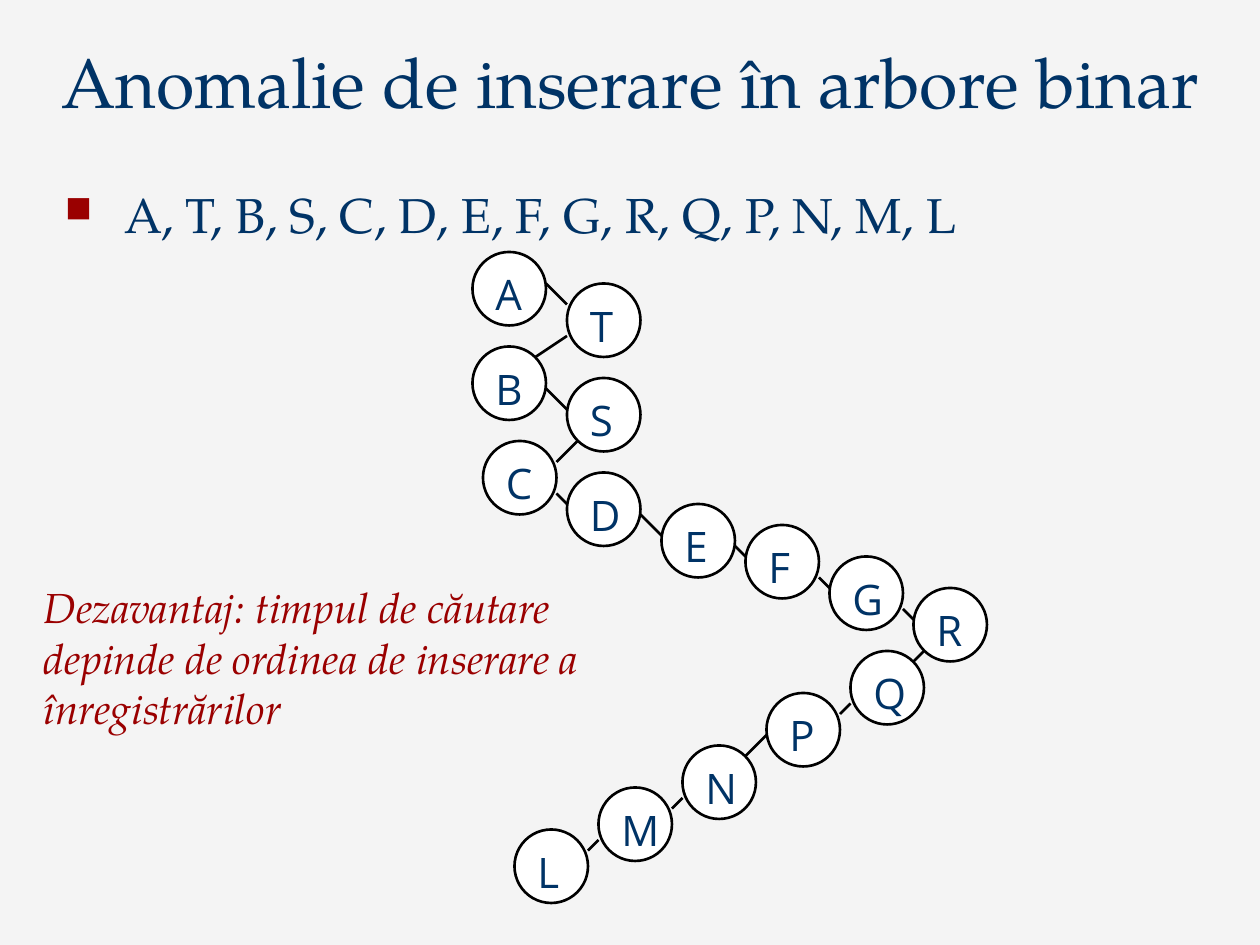
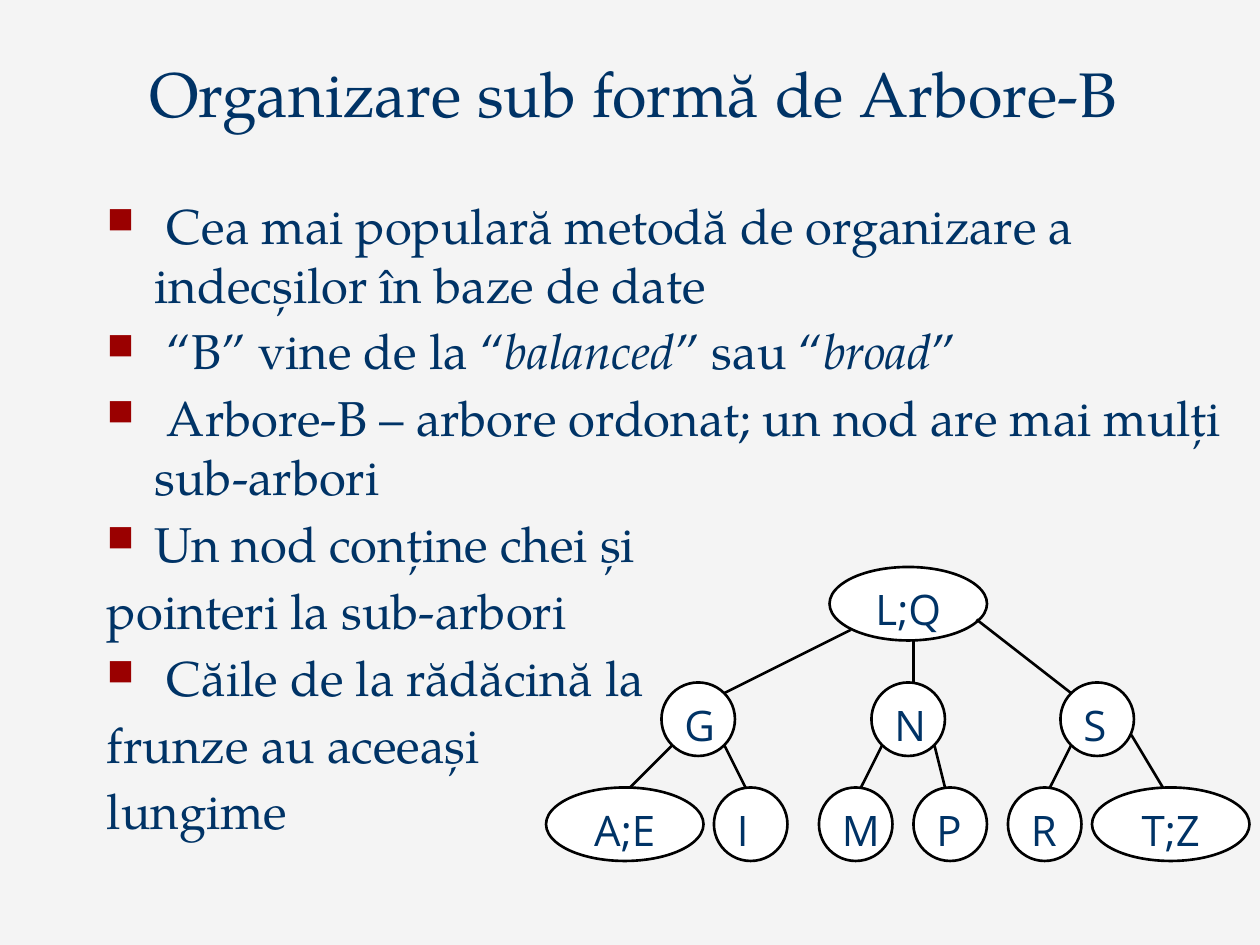
from dataclasses import dataclass

from lxml import etree
from pptx import Presentation
from pptx import util as u
from pptx.dml.color import RGBColor
from pptx.enum import shapes, text
from pptx.oxml import ns

COLORS = {
    "paper": "F4F4F4",
    "navy": "003366",
    "red": "9A0000",
    "node": "FFFFFF",
    "ink": "000000",
}
SERIF = "TeX Gyre Pagella"
SANS = "Open Sans"
CELL = u.Inches(1) // 12
COLUMNS, ROWS = 120, 90
NODE, WIDE_NODE = 7, 15
HANGING = u.Inches(0.38)


@dataclass
class Box:
    left: float
    top: float
    width: float
    height: float

    def inner(self, column, row, width, height):
        return Box(self.left + column, self.top + row, width, height)

    def point(self, column, row):
        return [round((self.left + column) * CELL), round((self.top + row) * CELL)]

    def frame(self):
        return [round(side * CELL) for side in (self.left, self.top, self.width, self.height)]


def color(name):
    return RGBColor.from_string(COLORS[name])


def add_span(para, words, size, font=SERIF, ink="navy", italic=False):
    span = para.add_run()
    span.text = words
    span.font.name = font
    span.font.size = u.Pt(size)
    span.font.italic = italic
    span.font.color.rgb = color(ink)


def add_text_box(parent, box, grow=True):
    frame = parent.add_textbox(*box.frame()).text_frame
    frame.word_wrap = True
    frame.auto_size = text.MSO_AUTO_SIZE.SHAPE_TO_FIT_TEXT if grow else text.MSO_AUTO_SIZE.NONE
    return frame


def add_page(deck, box, words, size, align):
    page = deck.slides.add_slide(deck.slide_layouts[5])
    page.background.fill.solid()
    page.background.fill.fore_color.rgb = color("paper")
    title = page.shapes.title
    title.left, title.top, title.width, title.height = box.frame()
    frame = title.text_frame
    frame.word_wrap = True
    frame.auto_size = text.MSO_AUTO_SIZE.SHAPE_TO_FIT_TEXT
    frame.vertical_anchor = text.MSO_ANCHOR.BOTTOM
    para = frame.paragraphs[0]
    para.alignment = align
    add_span(para, words, size)
    return page


def add_bullet(para):
    settings = para._p.get_or_add_pPr()
    settings.set("marL", str(HANGING))
    settings.set("indent", str(-HANGING))
    tint = etree.SubElement(settings, ns.qn("a:buClr"))
    etree.SubElement(tint, ns.qn("a:srgbClr"), val=COLORS["red"])
    etree.SubElement(settings, ns.qn("a:buSzPct"), val="75000")
    etree.SubElement(settings, ns.qn("a:buChar"), char="■")


def add_body(page, box, lines):
    frame = add_text_box(page.shapes, box, grow=False)
    for index, (bulleted, spans) in enumerate(lines):
        para = frame.add_paragraph() if index else frame.paragraphs[0]
        para.space_before = u.Pt(4.6 if index else 0)
        if bulleted:
            add_bullet(para)
        for position, words in enumerate(spans):
            add_span(para, words, 28, italic=position % 2 == 1)


def add_node(group, box, label, column, row):
    wide = len(label) > 1
    width = WIDE_NODE if wide else NODE
    node = box.inner(column, row, width, NODE)
    oval = group.shapes.add_shape(shapes.MSO_SHAPE.OVAL, *node.frame())
    oval.shadow.inherit = False
    oval.fill.solid()
    oval.fill.fore_color.rgb = color("node")
    oval.line.color.rgb = color("ink")
    oval.line.width = u.Pt(1.5)
    caption = node.inner(2.15, 1, width - 4.3, 6) if wide else node.inner(1, 1, 5, 6)
    para = add_text_box(group.shapes, caption).paragraphs[0]
    para.alignment = text.PP_ALIGN.CENTER if wide else text.PP_ALIGN.LEFT
    add_span(para, label, 24, SANS)


def add_link(group, box, start, end):
    link = group.shapes.add_connector(
        shapes.MSO_CONNECTOR.STRAIGHT, *box.point(*start), *box.point(*end))
    link.line.color.rgb = color("ink")
    link.line.width = u.Pt(1.5)
    etree.SubElement(link._element.spPr, ns.qn("a:effectLst"))


def add_chain(page, box, steps):
    for label, place, *ends in steps:
        group = page.shapes.add_group_shape()
        add_node(group, box, label, *place)
        if ends:
            add_link(group, box, *ends)


def add_tree(page, box, nodes, links):
    group = page.shapes.add_group_shape()
    for label, column, row in nodes:
        add_node(group, box, label, column, row)
    for start, end in links:
        add_link(group, box, start, end)


def add_remark(page, box, words):
    para = add_text_box(page.shapes, box).paragraphs[0]
    add_span(para, words, 24, ink="red", italic=True)


INSERTIONS = [
    ("A", (0, 0)),
    ("T", (9, 3), (7, 3), (9, 5)),
    ("B", (0, 9), (9, 8), (6, 10)),
    ("S", (9, 12), (7, 13), (9, 15)),
    ("C", (1, 18), (10, 18), (8, 20)),
    ("D", (9, 21), (8, 23), (9, 24)),
    ("E", (18, 24), (16, 25), (18, 27)),
    ("F", (26, 26), (25, 28), (26, 29)),
    ("G", (34, 29), (33, 31), (34, 32)),
    ("R", (42, 32), (41, 34), (42, 35)),
    ("Q", (36, 38), (43, 38), (42, 39)),
    ("P", (28, 42), (36, 43), (35, 44)),
    ("N", (20, 47), (28, 46), (26, 48)),
    ("M", (12, 51), (20, 52), (19, 53)),
    ("L", (4, 55), (12, 56), (11, 57)),
]

LEVELS = [
    (0, [("L;Q", 27)]),
    (11, [("G", 11), ("N", 31), ("S", 49)]),
    (21, [("I", 16), ("A;E", 0), ("M", 26), ("P", 35), ("R", 44), ("T;Z", 52)]),
]
BRANCHES = [
    ((17, 12), (29, 6)), ((35, 7), (35, 11)), ((41, 5), (50, 12)),
    ((12, 17), (8, 21)), ((17, 17), (19, 21)),
    ((32, 17), (30, 21)), ((37, 17), (38, 21)),
    ((48, 21), (50, 17)), ((55.75, 16), (58.75, 21)),
]

FACTS = [
    (True, [" Cea mai populară metodă de organizare a indecșilor în baze de date"]),
    (True, [" “B” vine de la “", "balanced", "” sau “", "broad", "”"]),
    (True, [" Arbore-B – arbore ordonat; un nod are mai mulți sub-arbori"]),
    (True, ["Un nod conține chei și"]),
    (False, ["pointeri la sub-arbori"]),
    (True, [" Căile de la rădăcină la"]),
    (False, ["frunze au aceeași"]),
    (False, ["lungime"]),
]


def build_anomaly(deck):
    page = add_page(deck, Box(0, 3, COLUMNS, 9.25),
                    "Anomalie de inserare în arbore binar", 40, text.PP_ALIGN.CENTER)
    order = ", ".join(label for label, *_ in INSERTIONS)
    add_body(page, Box(5, 17, 101.5, 6), [(True, [" " + order])])
    add_chain(page, Box(45, 24, 49, 62), INSERTIONS)
    add_remark(page, Box(3, 54.8, 60, 15.7),
               "Dezavantaj: timpul de căutare depinde de ordinea de inserare a înregistrărilor")


def build_b_tree(deck):
    page = add_page(deck, Box(13, 4.5, 100.8, 8.5),
                    "Organizare sub formă de Arbore-B", 36, text.PP_ALIGN.LEFT)
    add_body(page, Box(9, 18, 111, 62), FACTS)
    nodes = [(label, column, row) for row, level in LEVELS for label, column in level]
    add_tree(page, Box(52, 54, 67, 28), nodes, BRANCHES)


deck = Presentation()
deck.slide_width = CELL * COLUMNS
deck.slide_height = CELL * ROWS
build_anomaly(deck)
build_b_tree(deck)
deck.save("out.pptx")
